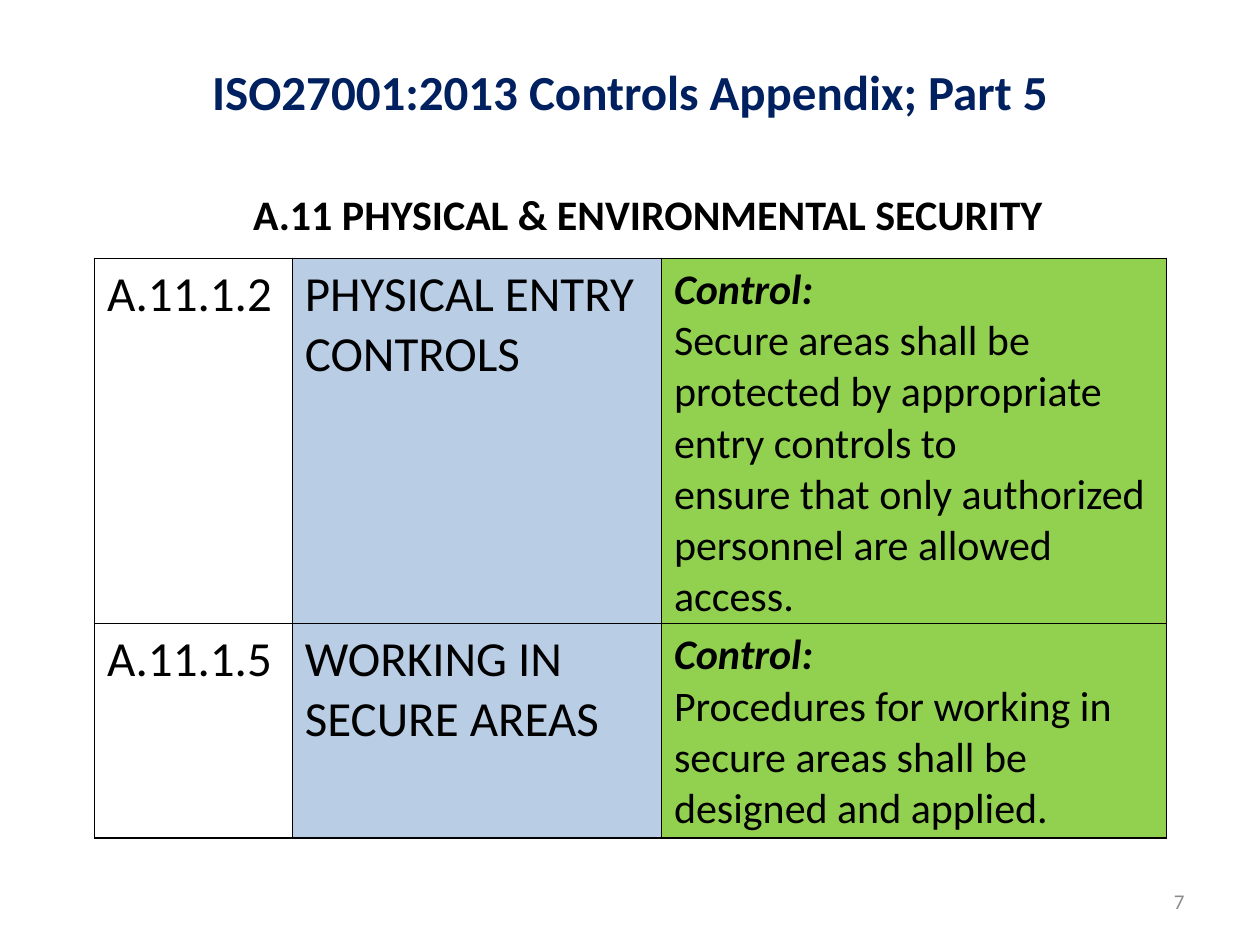
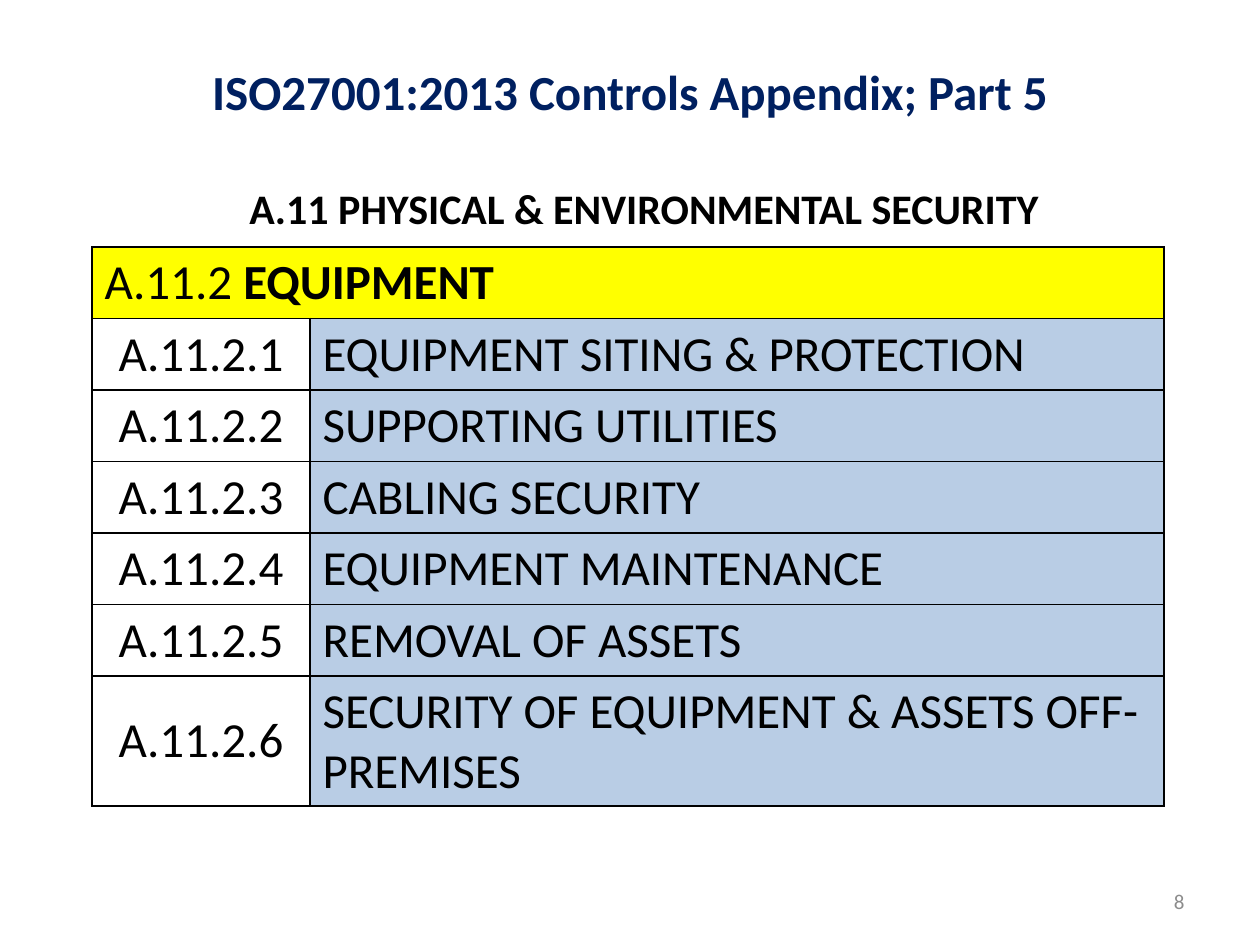
import pptx
import pptx.dml.color
import pptx.enum.text
import pptx.oxml
import pptx.oxml.ns
import pptx.util

ALIGN = pptx.enum.text.PP_ALIGN
ANCHOR = pptx.enum.text.MSO_ANCHOR

COLORS = {
    "title": "002060",
    "text": "000000",
    "number": "8C8C8C",
    "border": "000000",
    "name": "B9CDE5",
    "control": "92D050",
    "section": "FFFF00",
}
FONT = "Calibri"
SLIDE_WIDTH = pptx.util.Inches(10)
SLIDE_HEIGHT = pptx.util.Inches(7.5)
COLUMN = SLIDE_WIDTH / 100
ROW = SLIDE_HEIGHT / 75

TITLE = "ISO27001:2013 Controls Appendix; Part 5"
HEADING = "A.11 PHYSICAL & ENVIRONMENTAL SECURITY"
TITLE_BOX = (5, 2.3, 90, 9.8)
NUMBER_BOX = (71.7, 69.5, 23.3, 4)
HEADING_SIZE = (65.2, 5)

CONTROLS = [
    ("A.11.1.2", "PHYSICAL ENTRY CONTROLS",
     ["Secure areas shall be protected by appropriate entry controls to",
      "ensure that only authorized personnel are allowed access."]),
    ("A.11.1.5", "WORKING IN SECURE AREAS",
     ["Procedures for working in secure areas shall be designed and applied."]),
]
EQUIPMENT = [
    "EQUIPMENT SITING & PROTECTION",
    "SUPPORTING UTILITIES",
    "CABLING SECURITY",
    "EQUIPMENT MAINTENANCE",
    "REMOVAL OF ASSETS",
    "SECURITY OF EQUIPMENT & ASSETS OFF-PREMISES",
]


def across(columns):
    return round(columns * COLUMN)


def down(rows):
    return round(rows * ROW)


def place(box):
    """Turn a box in grid units into slide lengths."""
    left, top, width, height = box
    return across(left), down(top), across(width), down(height)


def write(paragraph, text, size=28, color="text", bold=False, italic=False,
          align=ALIGN.LEFT):
    """Add a formatted run to a paragraph."""
    paragraph.alignment = align
    run = paragraph.add_run()
    run.text = text
    font = run.font
    font.name = FONT
    font.size = pptx.util.Pt(size)
    font.bold = bold
    font.italic = italic
    font.color.rgb = pptx.dml.color.RGBColor.from_string(COLORS[color])


def add_text_box(slide, box, text, wrap=True, anchor=ANCHOR.MIDDLE, **text_format):
    frame = slide.shapes.add_textbox(*place(box)).text_frame
    frame.word_wrap = wrap
    frame.vertical_anchor = anchor
    write(frame.paragraphs[0], text, **text_format)


def add_frame(presentation, number, heading_corner):
    """Add a slide with the title, heading and page number."""
    slide = presentation.slides.add_slide(presentation.slide_layouts[6])
    add_text_box(slide, NUMBER_BOX, str(number), size=12, color="number",
                 align=ALIGN.RIGHT)
    add_text_box(slide, TITLE_BOX, TITLE, color="title", bold=True,
                 align=ALIGN.CENTER)
    add_text_box(slide, heading_corner + HEADING_SIZE, HEADING, wrap=False,
                 anchor=ANCHOR.TOP, size=24, bold=True)
    return slide


def style_cell(cell, fill=None, anchor=ANCHOR.TOP):
    """Give a cell its borders, fill and anchor."""
    properties = cell._tc.get_or_add_tcPr()
    for side in ("lnL", "lnR", "lnT", "lnB"):
        properties.append(pptx.oxml.parse_xml(
            f'<a:{side} {pptx.oxml.ns.nsdecls("a")} w="12700"><a:solidFill>'
            f'<a:srgbClr val="{COLORS["border"]}"/></a:solidFill></a:{side}>'))
    if fill:
        cell.fill.solid()
        cell.fill.fore_color.rgb = pptx.dml.color.RGBColor.from_string(COLORS[fill])
    else:
        cell.fill.background()
    cell.vertical_anchor = anchor


def add_table(slide, corner, widths, heights):
    """Add a plain table whose columns and rows are given in grid units."""
    box = corner + (sum(widths), sum(heights))
    table = slide.shapes.add_table(len(heights), len(widths), *place(box)).table
    table.first_row = False
    table.horz_banding = False
    for column, width in zip(table.columns, widths):
        column.width = across(width)
    for row, height in zip(table.rows, heights):
        row.height = down(height)
    return table


def add_control_table(slide, corner):
    table = add_table(slide, corner, widths=(15.7, 29.3, 40.1), heights=(29, 17))
    for row, (code, name, sentences) in enumerate(CONTROLS):
        code_cell, name_cell, control_cell = table.rows[row].cells
        style_cell(code_cell)
        style_cell(name_cell, "name")
        style_cell(control_cell, "control")
        write(code_cell.text_frame.paragraphs[0], code)
        write(name_cell.text_frame.paragraphs[0], name)
        frame = control_cell.text_frame
        write(frame.paragraphs[0], "Control:", size=24, bold=True, italic=True)
        for sentence in sentences:
            write(frame.add_paragraph(), sentence, size=24)


def add_equipment_table(slide, corner):
    table = add_table(slide, corner, widths=(17.3, 67.8),
                      heights=[5.67] * len(EQUIPMENT) + [10.3])
    section_cell, covered_cell = table.rows[0].cells
    section_cell.merge(covered_cell)
    for cell in (section_cell, covered_cell):
        style_cell(cell, "section")
    section = section_cell.text_frame.paragraphs[0]
    write(section, "A.11.2 ")
    write(section, "EQUIPMENT", bold=True)
    for row, name in enumerate(EQUIPMENT, start=1):
        code_cell, name_cell = table.rows[row].cells
        style_cell(code_cell, anchor=ANCHOR.MIDDLE)
        style_cell(name_cell, "name", anchor=ANCHOR.MIDDLE)
        write(code_cell.text_frame.paragraphs[0], f"A.11.2.{row}",
              align=ALIGN.CENTER)
        write(name_cell.text_frame.paragraphs[0], name)


def main():
    presentation = pptx.Presentation()
    presentation.slide_width = SLIDE_WIDTH
    presentation.slide_height = SLIDE_HEIGHT
    add_control_table(add_frame(presentation, 7, (19.1, 14.5)), (7.5, 20.5))
    add_equipment_table(add_frame(presentation, 8, (18.8, 14)), (7.3, 19.6))
    presentation.save("out.pptx")


if __name__ == "__main__":
    main()
